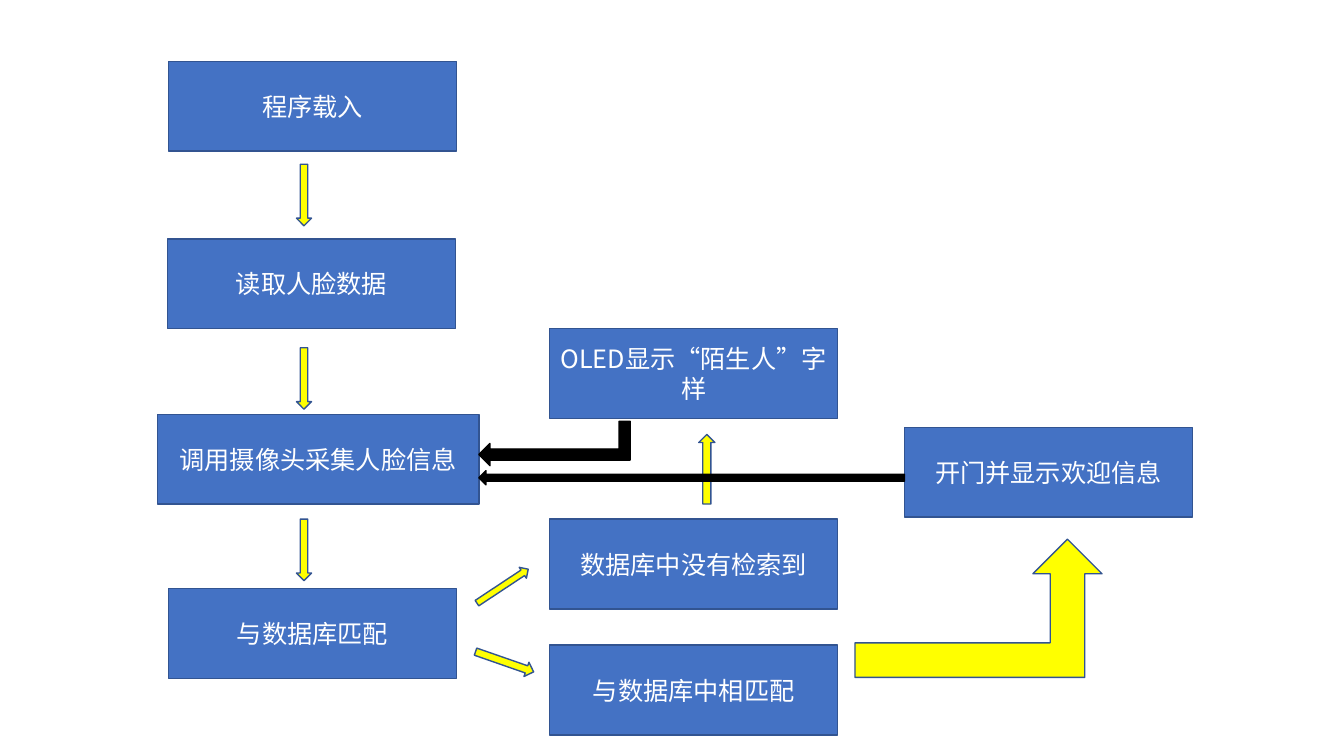
"""Build the flowchart slide of a face recognition door lock."""
from lxml import etree
from pptx import Presentation
from pptx.dml.color import RGBColor
from pptx.enum.shapes import MSO_SHAPE
from pptx.enum.text import MSO_ANCHOR, PP_ALIGN
from pptx.oxml.ns import qn
from pptx.util import Inches, Pt

RECTANGLE = MSO_SHAPE.RECTANGLE
DOWN_ARROW = MSO_SHAPE.DOWN_ARROW
LEFT_ARROW = MSO_SHAPE.LEFT_ARROW
BENT_UP_ARROW = MSO_SHAPE.BENT_UP_ARROW
MIDDLE = MSO_ANCHOR.MIDDLE
CENTER = PP_ALIGN.CENTER

FONT = "Noto Sans CJK SC"
BLUE, EDGE, YELLOW, BLACK, WHITE = "4472C4", "325491", "FFFF00", "000000", "FFFFFF"
STEP_WIDTH, STEP_HEIGHT = 2.86, 0.89


def color(hex_code):
    """Turn a hex string into a colour."""
    return RGBColor.from_string(hex_code)


def add_block(page, kind, box, fill=YELLOW, edge=EDGE, rotation=0, flip=False):
    """Add a filled preset shape, optionally turned or flipped vertically."""
    block = page.shapes.add_shape(kind, *map(Inches, box))
    block.shadow.inherit = False
    block.fill.solid()
    block.fill.fore_color.rgb = color(fill)
    block.line.color.rgb = color(edge)
    block.line.width = Pt(1)
    block.rotation = rotation
    if flip:
        block.element.spPr.find(qn("a:xfrm")).set("flipV", "1")
    return block


def write_text(shape, text, size=18, ink=WHITE, font=FONT, align=CENTER, anchor=MIDDLE):
    """Write one formatted paragraph into a shape."""
    frame = shape.text_frame
    frame.word_wrap = True
    frame.vertical_anchor = anchor
    para = frame.paragraphs[0]
    para.alignment = align
    span = para.add_run()
    span.text = text
    span.font.size = Pt(size)
    span.font.color.rgb = color(ink)
    span.font.name = font
    east_asian = etree.SubElement(span.font._element, qn("a:ea"))
    east_asian.set("typeface", font)


def add_step(page, text, left, top, width=STEP_WIDTH):
    """Add one labelled step of the flow."""
    step = add_block(page, RECTANGLE, (left, top, width, STEP_HEIGHT), fill=BLUE)
    write_text(step, text)


def draw_main_flow(page, left, top):
    """Draw the column of steps and the arrows between them."""
    steps = [
        ("程序载入", 0.11, 0, STEP_WIDTH),
        ("读取人脸数据", 0.1, 1.76, STEP_WIDTH),
        ("调用摄像头采集人脸信息", 0, 3.5, 3.19),
        ("与数据库匹配", 0.11, 5.23, STEP_WIDTH),
    ]
    for text, shift, drop, width in steps:
        add_step(page, text, left + shift, top + drop, width)
    for drop in (1.02, 2.84, 4.54):
        add_block(page, DOWN_ARROW, (left + 1.38, top + drop, 0.15, 0.61))


def draw_match_results(page, left, top):
    """Draw the two database results, the stranger notice and their arrows."""
    steps = [
        ("OLED显示“陌生人”字样", 0),
        ("数据库中没有检索到", 1.89),
        ("与数据库中相匹配", 3.14),
    ]
    for text, drop in steps:
        add_step(page, text, left, top + drop)
    arrows = [
        (-0.53, 2.25, 0.13, 0.61, 236.5),
        (-0.52, 3, 0.15, 0.61, 289.2),
        (1.48, 1.05, 0.16, 0.69, 180),
    ]
    for shift, drop, width, height, rotation in arrows:
        box = (left + shift, top + drop, width, height)
        add_block(page, DOWN_ARROW, box, rotation=rotation)


def draw_welcome(page, left, top):
    """Draw the door opening step and the bent arrow leading up to it."""
    add_step(page, "开门并显示欢迎信息", left, top)
    add_block(page, BENT_UP_ARROW, (left - 0.49, top + 1.11, 2.45, 1.37))


def draw_returns(page, left, top):
    """Draw the black arrows that lead back to the camera step."""
    add_block(page, BENT_UP_ARROW, (left + 0.53, top, 0.44, 1.5),
              fill=BLACK, edge=BLACK, rotation=90, flip=True)
    add_block(page, LEFT_ARROW, (left, top + 1.02, 4.22, 0.14), fill=BLACK, edge=BLACK)


def main():
    """Build and save the deck."""
    deck = Presentation()
    deck.slide_width, deck.slide_height = Inches(13.33), Inches(7.5)
    page = deck.slides.add_slide(deck.slide_layouts[6])
    draw_main_flow(page, 1.56, 0.61)
    draw_match_results(page, 5.45, 3.26)
    draw_welcome(page, 8.97, 4.24)
    draw_returns(page, 4.75, 3.65)
    deck.save("out.pptx")


main()
